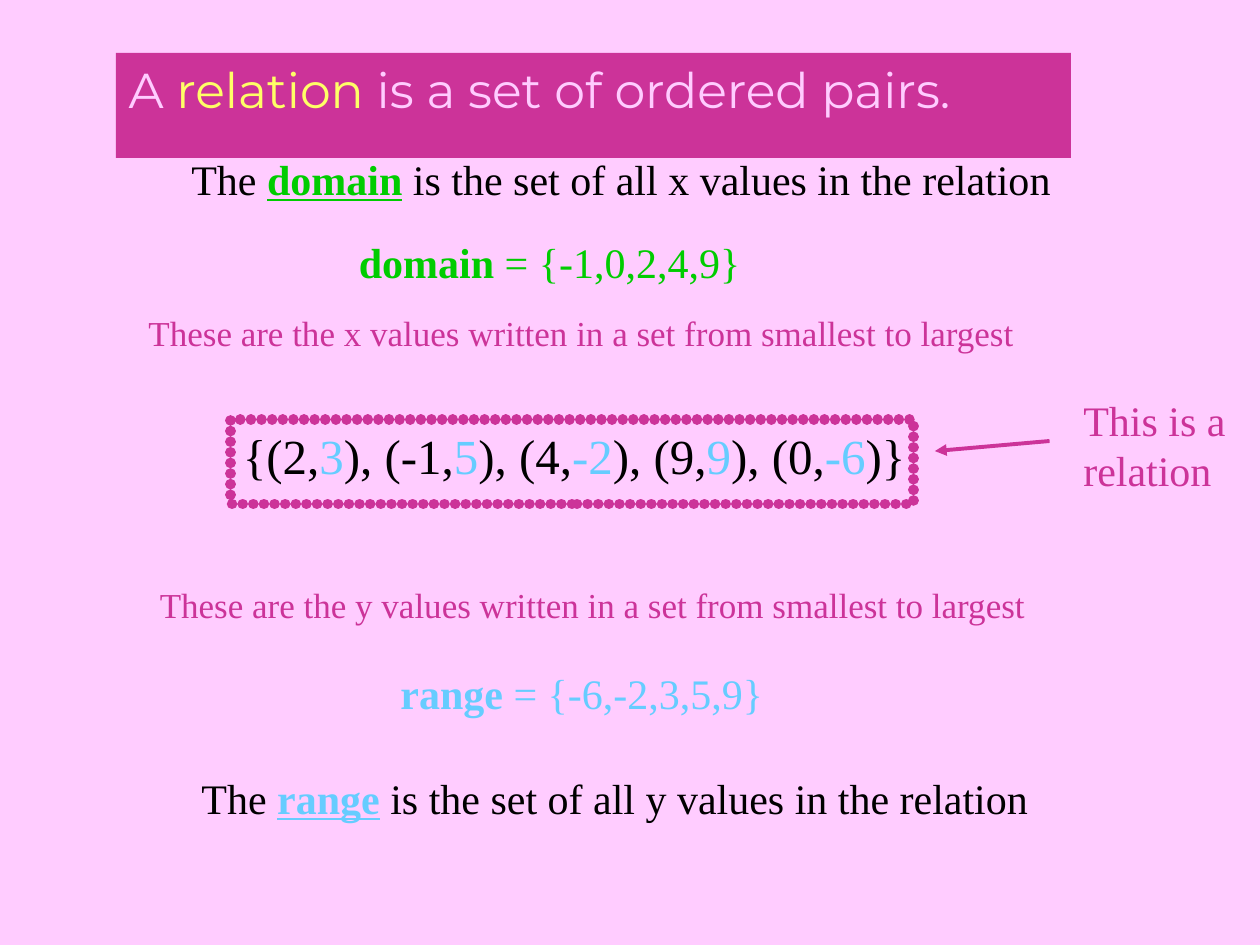
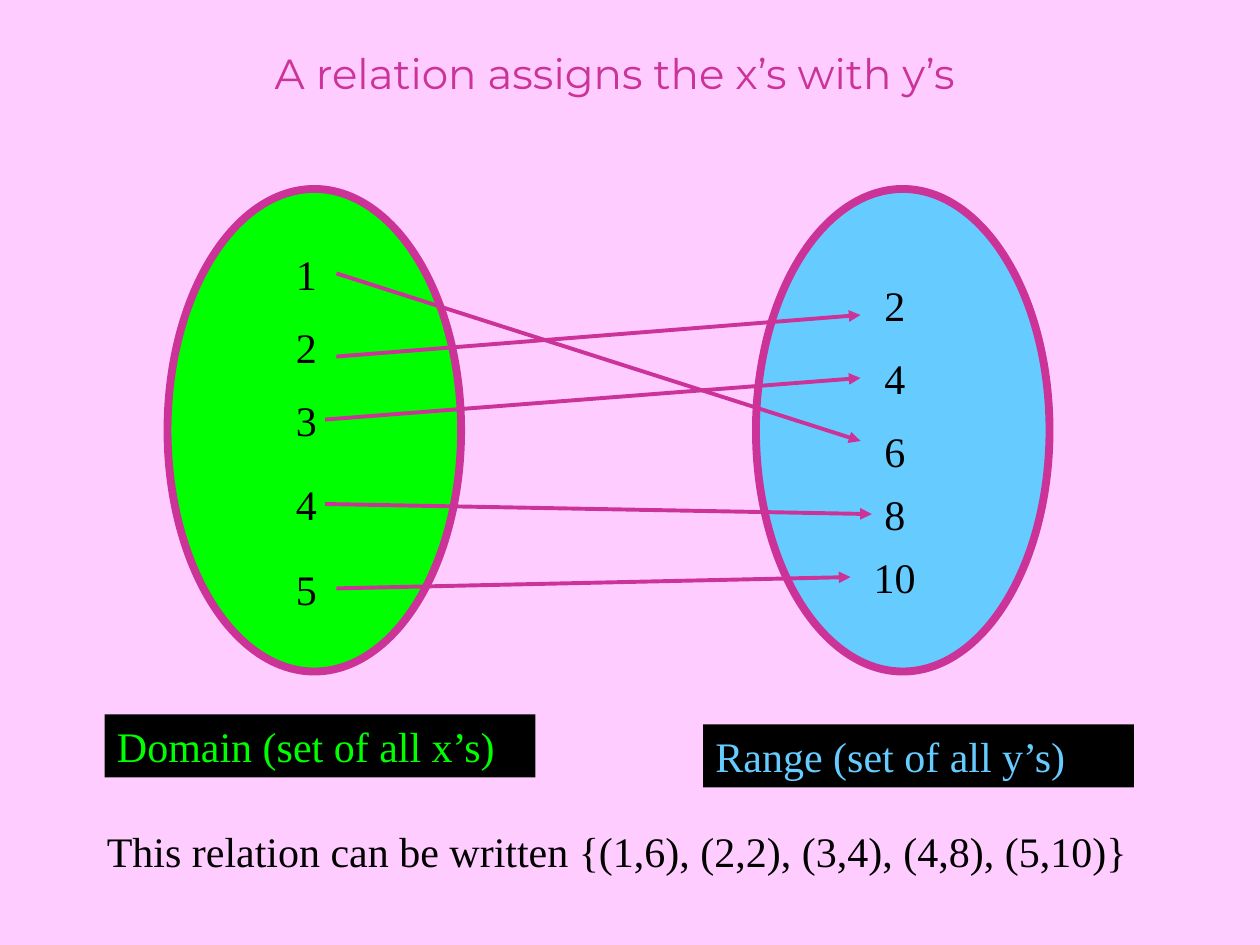
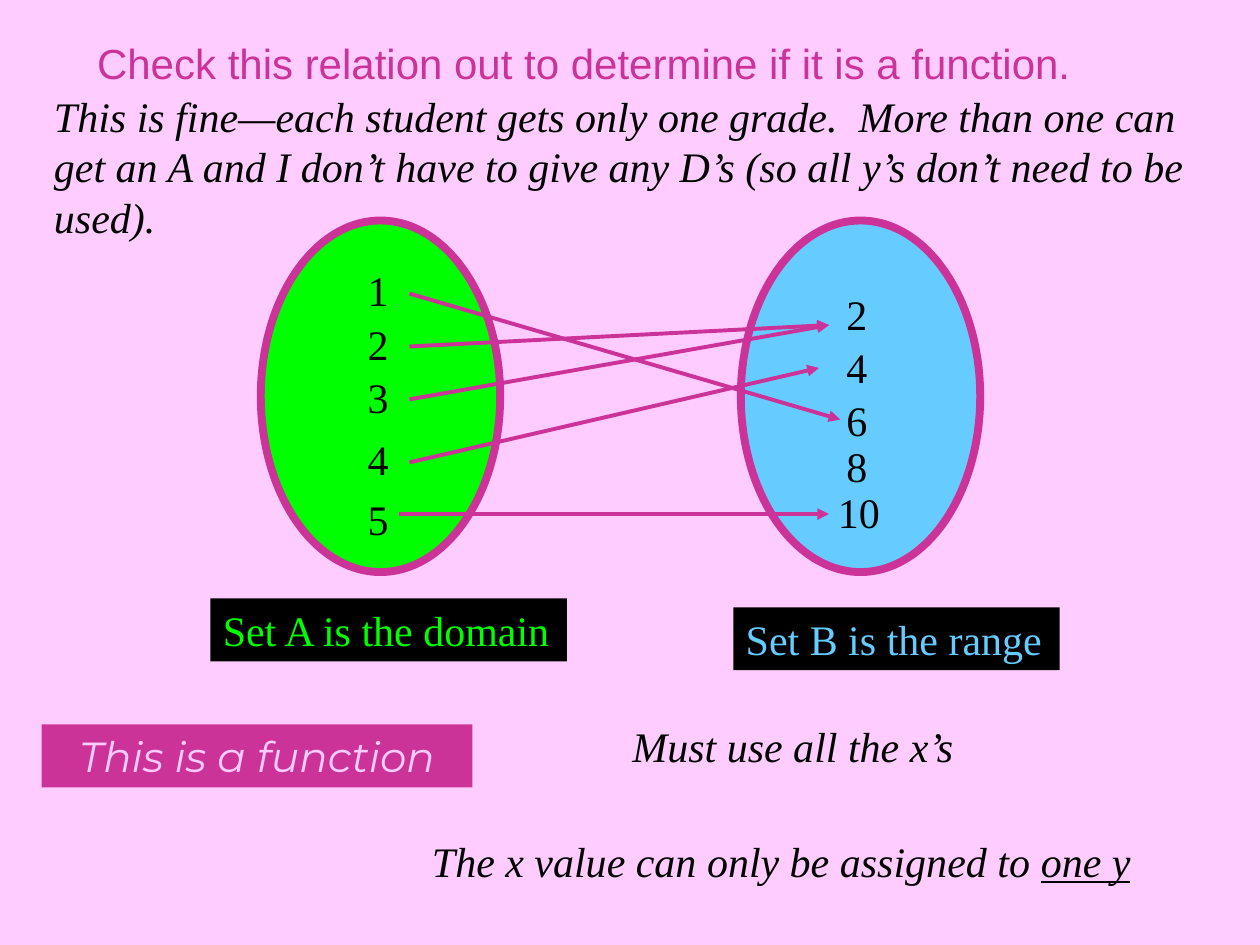
import pptx
import pptx.dml.color
import pptx.enum.shapes
import pptx.enum.text
import pptx.oxml.ns
import pptx.util
from lxml import etree
from pptx.util import Inches

COLORS = {
    "background": "FFCCFF",
    "accent": "CC3399",
    "highlight": "FFFF66",
    "domain": "00FF00",
    "domain_text": "00CC00",
    "range": "66CCFF",
    "ink": "000000",
}
BODY_FONT = "Times New Roman"
TITLE_FONT = "Montserrat"
ALIGN = pptx.enum.text.PP_ALIGN
SHAPES = pptx.enum.shapes.MSO_SHAPE


def rgb(name):
    return pptx.dml.color.RGBColor.from_string(COLORS[name])


def add_xml(parent, tag, **attributes):
    return etree.SubElement(parent, pptx.oxml.ns.qn(tag), **attributes)


class Deck:
    """Holds the shared style and the slide being built."""

    def __init__(self):
        self.prs = pptx.Presentation()
        self.prs.slide_width, self.prs.slide_height = Inches(10), Inches(7.5)
        fill = self.prs.slide_master.background.fill
        fill.solid()
        fill.fore_color.rgb = rgb("background")
        self.slide = None

    def new_slide(self):
        self.slide = self.prs.slides.add_slide(self.prs.slide_layouts[5])

    def set_text(self, shape, pieces, size=24, color="ink", font=BODY_FONT,
                 italic=False, align=ALIGN.LEFT):
        """Pieces are strings, or (string, changes) for a run that differs."""
        frame = shape.text_frame
        frame.word_wrap = True
        frame.auto_size = pptx.enum.text.MSO_AUTO_SIZE.SHAPE_TO_FIT_TEXT
        frame.vertical_anchor = pptx.enum.text.MSO_ANCHOR.TOP
        paragraph = frame.paragraphs[0]
        paragraph.alignment = align
        paragraph.font.name = font
        paragraph.font.size = pptx.util.Pt(size)
        paragraph.font.italic = italic
        paragraph.font.color.rgb = rgb(color)
        for piece in [pieces] if isinstance(pieces, str) else pieces:
            words, changes = (piece, {}) if isinstance(piece, str) else piece
            run = paragraph.add_run()
            run.text = words
            if "color" in changes:
                run.font.color.rgb = rgb(changes["color"])
            if "bold" in changes:
                run.font.bold = changes["bold"]
            if "underline" in changes:
                run.font.underline = changes["underline"]

    def title(self, box, pieces, band=None, **style):
        heading = self.slide.shapes.title
        heading.left, heading.top, heading.width, heading.height = map(Inches, box)
        if band:
            heading.fill.solid()
            heading.fill.fore_color.rgb = rgb(band)
        self.set_text(heading, pieces, **style)

    def text(self, box, pieces, shapes=None, **style):
        shapes = shapes or self.slide.shapes
        self.set_text(shapes.add_textbox(*map(Inches, box)), pieces, **style)

    def shape(self, kind, box, fill=None, line_width=0, shapes=None):
        shapes = shapes or self.slide.shapes
        figure = shapes.add_shape(kind, *map(Inches, box))
        figure.shadow.inherit = False
        if fill:
            figure.fill.solid()
            figure.fill.fore_color.rgb = rgb(fill)
        else:
            figure.fill.background()
        if line_width:
            figure.line.color.rgb = rgb("accent")
            figure.line.width = pptx.util.Pt(line_width)
        else:
            figure.line.fill.background()
        return figure

    def band(self, box, pieces, fill="ink", shapes=None, **style):
        self.set_text(self.shape(SHAPES.RECTANGLE, box, fill, shapes=shapes),
                      pieces, **style)

    def dotted_frame(self, box):
        frame = self.shape(SHAPES.RECTANGLE, box, line_width=6)
        line = frame.line._get_or_add_ln()
        line.set("cap", "rnd")
        dash = add_xml(line, "a:custDash")
        add_xml(dash, "a:ds", d="100000", sp="1000")
        add_xml(line, "a:round")

    def arrow(self, x1, y1, x2, y2):
        arrow = self.slide.shapes.add_connector(
            pptx.enum.shapes.MSO_CONNECTOR.STRAIGHT, *map(Inches, (x1, y1, x2, y2)))
        arrow.line.color.rgb = rgb("accent")
        arrow.line.width = pptx.util.Pt(2.25)
        add_xml(arrow.line._get_or_add_ln(), "a:tailEnd", type="triangle")
        add_xml(arrow._element.spPr, "a:effectLst")

    def number_set(self, color, oval, label_box, label, column, numbers):
        """Oval with its label; column is the left and width of a one-digit box."""
        shapes = self.slide.shapes.add_group_shape().shapes
        self.shape(SHAPES.OVAL, oval, color, 4.5, shapes)
        self.band(label_box, label, color=color, shapes=shapes)
        left, width = column
        for number, top in numbers.items():
            wider = len(number) - 1
            box = (left - 0.2 * width * wider, top, width * (1 + 0.6 * wider), 0.5)
            self.text(box, number, shapes)


def relation_slide(deck):
    deck.new_slide()
    deck.title((0.92, 0.42, 7.58, 0.57),
               ["A ", ("relation", {"color": "highlight"}),
                " is a set of ordered pairs."],
               band="accent", size=28, color="background", font=TITLE_FONT)

    # Definitions, sets and explanations of domain and range
    parts = [
        ("domain", "x", "{-1,0,2,4,9}", "domain_text",
         (1.42, 1.17), (2.75, 1.83), (1.08, 2.42)),
        ("range", "y", "{-6,-2,3,5,9}", "range",
         (1.5, 6.08), (3.08, 5.25), (1.17, 4.58)),
    ]
    for term, axis, values, color, definition, equation, note in parts:
        deck.text((*definition, 7.08, 0.5),
                  ["The ", (term, {"color": color, "bold": True, "underline": True}),
                   f" is the set of all {axis} values in the relation"])
        deck.text((*equation, 3.25, 0.5),
                  [(term, {"bold": True}), f" = {values}"], color=color)
        deck.text((*note, 7.33, 0.44),
                  f"These are the {axis} values written in a set "
                  "from smallest to largest", size=20, color="accent")

    # The relation itself, with its y values coloured
    pairs = ["{"]
    for x, y in [(2, 3), (-1, 5), (4, -2), (9, 9), (0, -6)]:
        separator = ", " if len(pairs) > 1 else ""
        pairs += [f"{separator}({x},", (str(y), {"color": "range"}), ")"]
    deck.text((1.83, 3.33, 5.5, 0.57), pairs + ["}"], size=28)
    deck.dotted_frame((1.83, 3.33, 5.42, 0.67))
    deck.text((8.5, 3.08, 1.33, 0.9), "This is a relation", color="accent")
    deck.arrow(8.33, 3.5, 7.42, 3.58)


def mapping_slide(deck):
    deck.new_slide()
    deck.title((2.08, 0.33, 6.75, 0.5), "A relation assigns the x’s with y’s",
               color="accent", font=TITLE_FONT)

    # Domain and range
    deck.number_set("domain", (1.33, 1.5, 2.33, 3.83), (0.83, 5.67, 3.42, 0.5),
                    "Domain (set of all x’s)", (2.25, 0.42),
                    {"1": 1.92, "2": 2.5, "3": 3.08, "4": 3.75, "5": 4.42})
    deck.number_set("range", (6, 1.5, 2.33, 3.83), (5.58, 5.75, 3.42, 0.5),
                    "Range (set of all y’s)", (6.92, 0.42),
                    {"2": 2.17, "4": 2.75, "6": 3.33, "8": 3.83, "10": 4.33})

    # Assignments
    for ends in [(2.67, 2.17, 6.83, 3.5), (2.58, 3.33, 6.83, 3),
                 (2.67, 2.83, 6.83, 2.5), (2.58, 4, 6.92, 4.08),
                 (2.67, 4.67, 6.75, 4.58)]:
        deck.arrow(*ends)
    deck.text((0.75, 6.5, 8.33, 0.5),
              "This relation can be written {(1,6), (2,2), (3,4), (4,8), (5,10)}")


def function_slide(deck):
    deck.new_slide()
    deck.title((0.67, 0.25, 8.42, 0.5),
               "Check this relation out to determine if it is a function.",
               color="accent", font="Arial")

    # Domain and range
    deck.number_set("domain", (2.07, 1.75, 1.9, 2.79), (1.67, 4.75, 2.83, 0.5),
                    "Set A is the domain", (2.82, 0.34),
                    {"1": 2.05, "2": 2.48, "3": 2.9, "4": 3.39, "5": 3.87})
    deck.number_set("range", (5.88, 1.75, 1.9, 2.79), (5.82, 4.82, 2.59, 0.5),
                    "Set B is the range", (6.62, 0.34),
                    {"2": 2.24, "4": 2.66, "6": 3.08, "8": 3.45, "10": 3.81})

    # Assignments
    for ends in [(3.25, 2.33, 6.67, 3.33), (3.25, 3.67, 6.5, 2.92),
                 (3.25, 2.75, 6.58, 2.58), (3.17, 4.08, 6.58, 4.08),
                 (3.25, 3.17, 6.58, 2.58)]:
        deck.arrow(*ends)

    # Verdict and its reasons
    deck.band((0.33, 5.75, 3.42, 0.5), "This is a function", fill="accent",
              color="background", font=TITLE_FONT, italic=True, align=ALIGN.CENTER)
    deck.text((4.92, 5.67, 3, 0.5), "Must use all the x’s", italic=True)
    deck.text((3.33, 6.58, 5.75, 0.5),
              ["The x value can only be assigned to ", ("one y", {"underline": True})],
              italic=True)
    deck.text((0.33, 0.67, 9.42, 1.3),
              "This is fine—each student gets only one grade.  More than one can get "
              "an A and I don’t have to give any D’s (so all y’s don’t need to be used).",
              italic=True)


def main():
    deck = Deck()
    relation_slide(deck)
    mapping_slide(deck)
    function_slide(deck)
    deck.prs.save("out.pptx")


if __name__ == "__main__":
    main()
